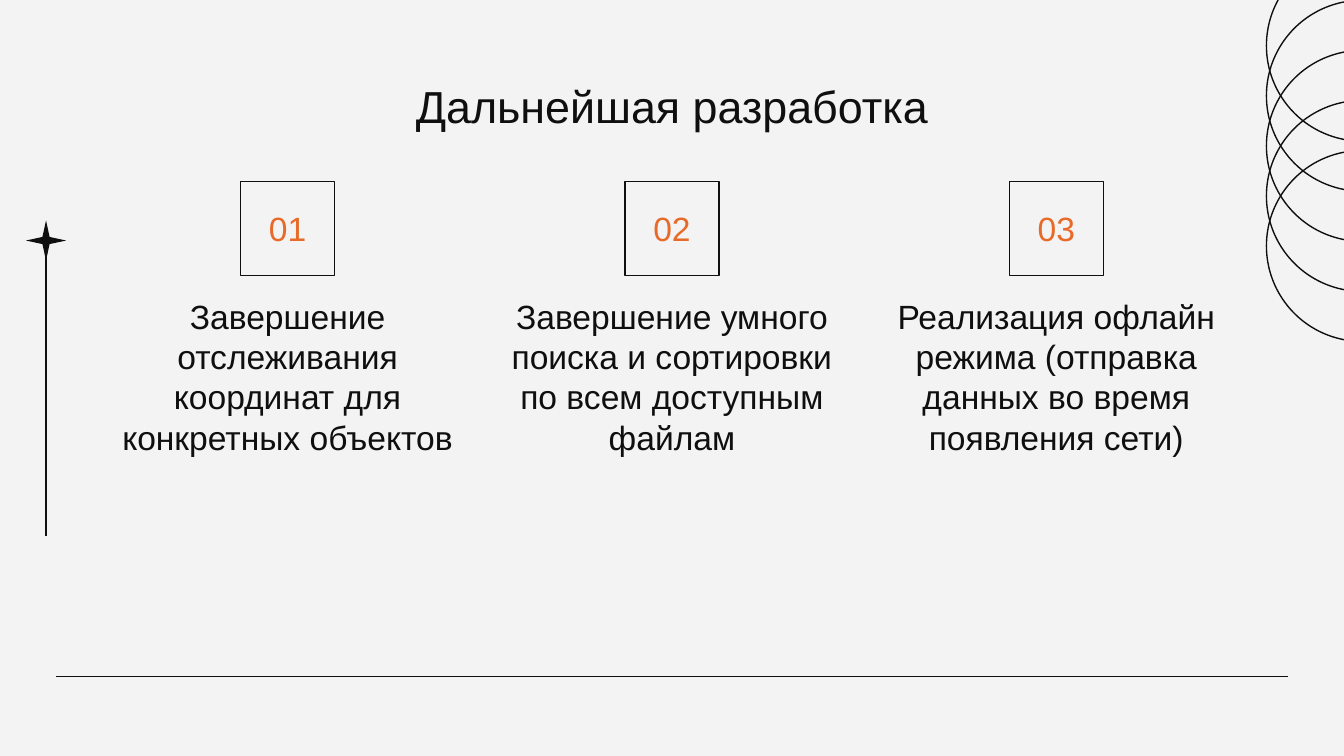
"""Build a slide with three numbered next steps on a fine square grid."""
from dataclasses import dataclass

import lxml.etree
import pptx
import pptx.dml.color
import pptx.enum.shapes
import pptx.enum.text
import pptx.oxml.ns
import pptx.util

COLORS = {"paper": "F3F3F3", "ink": "0F0F0F", "accent": "E76A28"}
FONT = "Arial"
SLIDE_WIDTH = pptx.util.Inches(10)
SLIDE_HEIGHT = SLIDE_WIDTH * 9 // 16
GRID_COLUMNS = 100
CELL = SLIDE_WIDTH / GRID_COLUMNS
SHAPES = pptx.enum.shapes.MSO_SHAPE


@dataclass
class Area:
    """A rectangle in grid columns and rows."""

    column: float
    row: float
    columns: float
    rows: float

    def lengths(self) -> list[int]:
        """Return left, top, width and height as slide lengths."""
        return [cells(n) for n in (self.column, self.row, self.columns, self.rows)]


@dataclass
class Step:
    """A numbered step and its description."""

    number: str
    description: str


STEPS = [
    Step("01", "Завершение отслеживания координат для конкретных объектов"),
    Step("02", "Завершение умного поиска и сортировки по всем доступным файлам"),
    Step("03", "Реализация офлайн режима (отправка данных во время появления сети)"),
]
STEP_LEFT, STEP_WIDTH, STEP_PITCH = 7.9, 27, 28.6
BADGE_SIZE = 7
RING_COUNT, RING_SIZE = 5, 14.2
RING_FIRST, RING_LAST = -3.7, 11.2


def cells(count: float) -> int:
    """Convert grid cells to a slide length."""
    return round(count * CELL)


def color(name: str) -> pptx.dml.color.RGBColor:
    """Look up a named colour."""
    return pptx.dml.color.RGBColor.from_string(COLORS[name])


def write(box, text: str, size: float, ink: str) -> None:
    """Put one centred paragraph in a box."""
    frame = box.text_frame
    frame.word_wrap = True
    frame.margin_left = frame.margin_right = cells(1)
    frame.margin_top = frame.margin_bottom = cells(1)
    frame.text = text
    paragraph = frame.paragraphs[0]
    paragraph.alignment = pptx.enum.text.PP_ALIGN.CENTER
    for span in paragraph.runs:
        span.font.name = FONT
        span.font.size = pptx.util.Pt(size)
        span.font.color.rgb = color(ink)


def add_text(page, area: Area, text: str, size: float) -> None:
    """Add a top-anchored text box."""
    box = page.shapes.add_textbox(*area.lengths())
    write(box, text, size, "ink")
    box.text_frame.vertical_anchor = pptx.enum.text.MSO_ANCHOR.TOP


def add_outline(page, kind: SHAPES, area: Area):
    """Add an unfilled shape with a thin line."""
    shape = page.shapes.add_shape(kind, *area.lengths())
    shape.shadow.inherit = False
    shape.fill.background()
    shape.line.color.rgb = color("ink")
    shape.line.width = pptx.util.Pt(0.75)
    return shape


def add_line(page, start: tuple[float, float], end: tuple[float, float]) -> None:
    """Add a thin straight line between two grid points."""
    line = page.shapes.add_connector(
        pptx.enum.shapes.MSO_CONNECTOR.STRAIGHT, *map(cells, start + end)
    )
    line.line.color.rgb = color("ink")
    line.line.width = pptx.util.Pt(0.75)
    lxml.etree.SubElement(line.element.spPr, pptx.oxml.ns.qn("a:effectLst"))


def add_decoration(page) -> None:
    """Draw the base line, the rings and the star on its stem."""
    add_line(page, (4.15, 50.33), (95.85, 50.33))
    pitch = (RING_LAST - RING_FIRST) / (RING_COUNT - 1)
    for index in range(RING_COUNT):
        row = RING_FIRST + index * pitch
        add_outline(page, SHAPES.OVAL, Area(94.23, row, RING_SIZE, RING_SIZE))
    add_line(page, (3.43, 18.2), (3.43, 39.9))
    star = add_outline(page, SHAPES.STAR_4_POINT, Area(1.93, 16.4, 3, 3))
    star.adjustments[0] = 0.125
    star.fill.solid()
    star.fill.fore_color.rgb = color("ink")
    star.line.fill.background()


def add_step(page, step: Step, index: int) -> None:
    """Draw one step in its column."""
    left = STEP_LEFT + index * STEP_PITCH
    badge_left = left + (STEP_WIDTH - BADGE_SIZE) / 2
    badge = add_outline(
        page, SHAPES.RECTANGLE, Area(badge_left, 13.5, BADGE_SIZE, BADGE_SIZE)
    )
    write(badge, step.number, 18, "accent")
    badge.text_frame.vertical_anchor = pptx.enum.text.MSO_ANCHOR.MIDDLE
    add_text(page, Area(left, 21, STEP_WIDTH, 8.2), step.description, 18)


def main() -> None:
    """Build and save the deck."""
    deck = pptx.Presentation()
    deck.slide_width = SLIDE_WIDTH
    deck.slide_height = SLIDE_HEIGHT
    page = deck.slides.add_slide(deck.slide_layouts[6])
    page.background.fill.solid()
    page.background.fill.fore_color.rgb = color("paper")
    add_decoration(page)
    add_text(page, Area(7.85, 4.85, 84.3, 6.3), "Дальнейшая разработка", 24)
    for index, step in enumerate(STEPS):
        add_step(page, step, index)
    deck.save("out.pptx")


if __name__ == "__main__":
    main()
